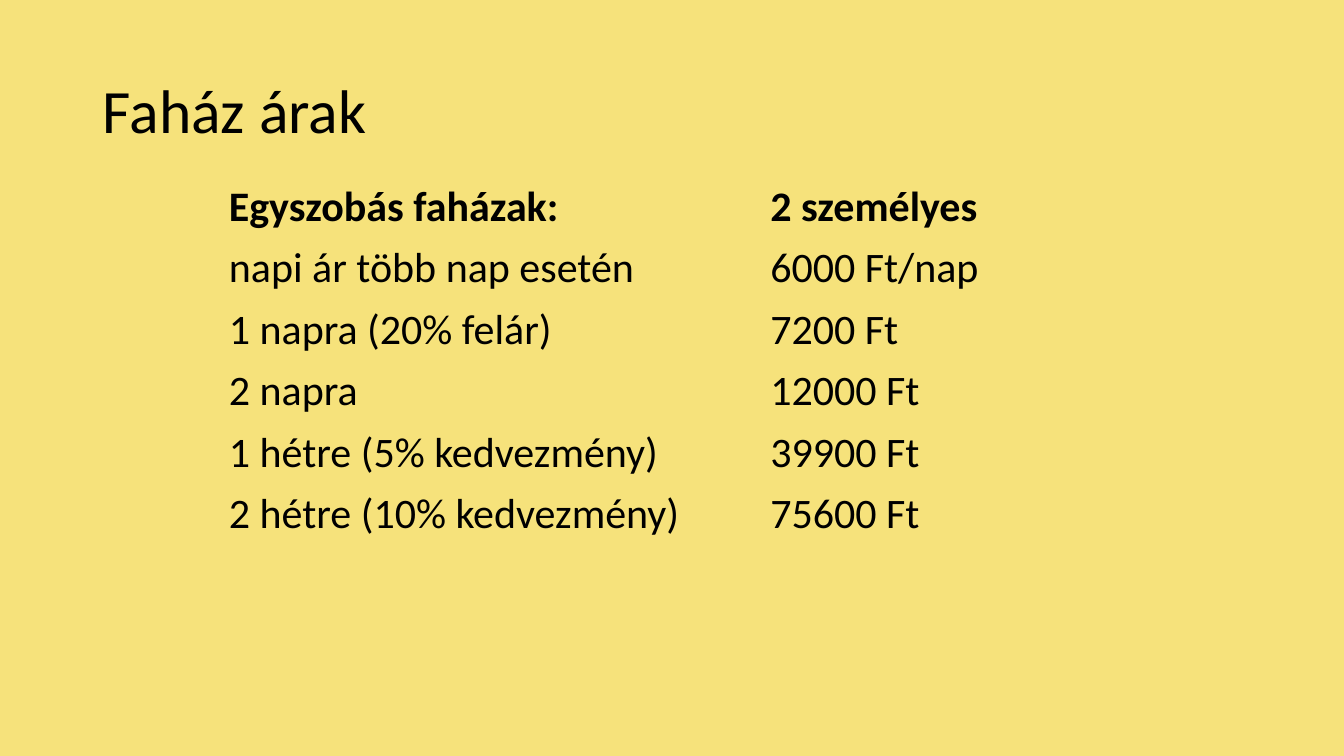
from pptx import Presentation
from pptx import util as u
from pptx.dml.color import RGBColor
from pptx.enum import text

PX = u.Inches(1) // 100
PLAIN_STYLE = "{2D5ABB26-0587-4C30-8999-92F81FD0307C}"
PRICES = [
    ("Egyszobás faházak:", "2 személyes"),
    ("napi ár több nap esetén", "6000 Ft/nap"),
    ("1 napra (20% felár)", "7200 Ft"),
    ("2 napra", "12000 Ft"),
    ("1 hétre (5% kedvezmény)", "39900 Ft"),
    ("2 hétre (10% kedvezmény)", "75600 Ft"),
]


def color(value):
    return RGBColor.from_string(value)


class Deck:
    font = "Calibri"
    ink = "000000"

    def __init__(self, width, height):
        self.prs = Presentation()
        self.prs.slide_width = width * PX
        self.prs.slide_height = height * PX

    def slide(self, background):
        self.s = self.prs.slides.add_slide(self.prs.slide_layouts[5])
        fill = self.s.background.fill
        fill.solid()
        fill.fore_color.rgb = color(background)

    def add_words(self, tf, words, size, bold=False):
        p = tf.paragraphs[0]
        p.alignment = text.PP_ALIGN.LEFT
        r = p.add_run()
        r.text = words
        style = {"name": self.font, "size": u.Pt(size), "bold": bold}
        for key, value in style.items():
            setattr(r.font, key, value)
        r.font.color.rgb = color(self.ink)
        return p

    def title(self, words, left, top, width, height, size):
        sp = self.s.shapes.title
        box = {"left": left, "top": top, "width": width, "height": height}
        for key, value in box.items():
            setattr(sp, key, value * PX)
        sp.text_frame.vertical_anchor = text.MSO_ANCHOR.MIDDLE
        self.add_words(sp.text_frame, words, size).line_spacing = 0.9

    def table(self, rows, left, top, widths, row_height, size):
        frame = self.s.shapes.add_table(
            len(rows), len(widths), left * PX, top * PX,
            sum(widths) * PX, len(rows) * row_height * PX)
        tbl = frame.table
        tbl.first_row = tbl.horz_banding = False
        tbl._tbl.tblPr[0].text = PLAIN_STYLE
        for column, width in zip(tbl.columns, widths):
            column.width = width * PX
        for i, row in enumerate(rows):
            for j, words in enumerate(row):
                cell = tbl.cell(i, j)
                cell.fill.background()
                cell.vertical_anchor = text.MSO_ANCHOR.MIDDLE
                self.add_words(cell.text_frame, words, size, bold=i == 0)


def main():
    deck = Deck(1333, 750)
    deck.slide("F6E27B")
    deck.title("Faház árak", 92, 40, 1150, 145, 44)
    deck.table(PRICES, 217, 175, [537, 363], 41, 30)
    deck.prs.save("out.pptx")


if __name__ == "__main__":
    main()
